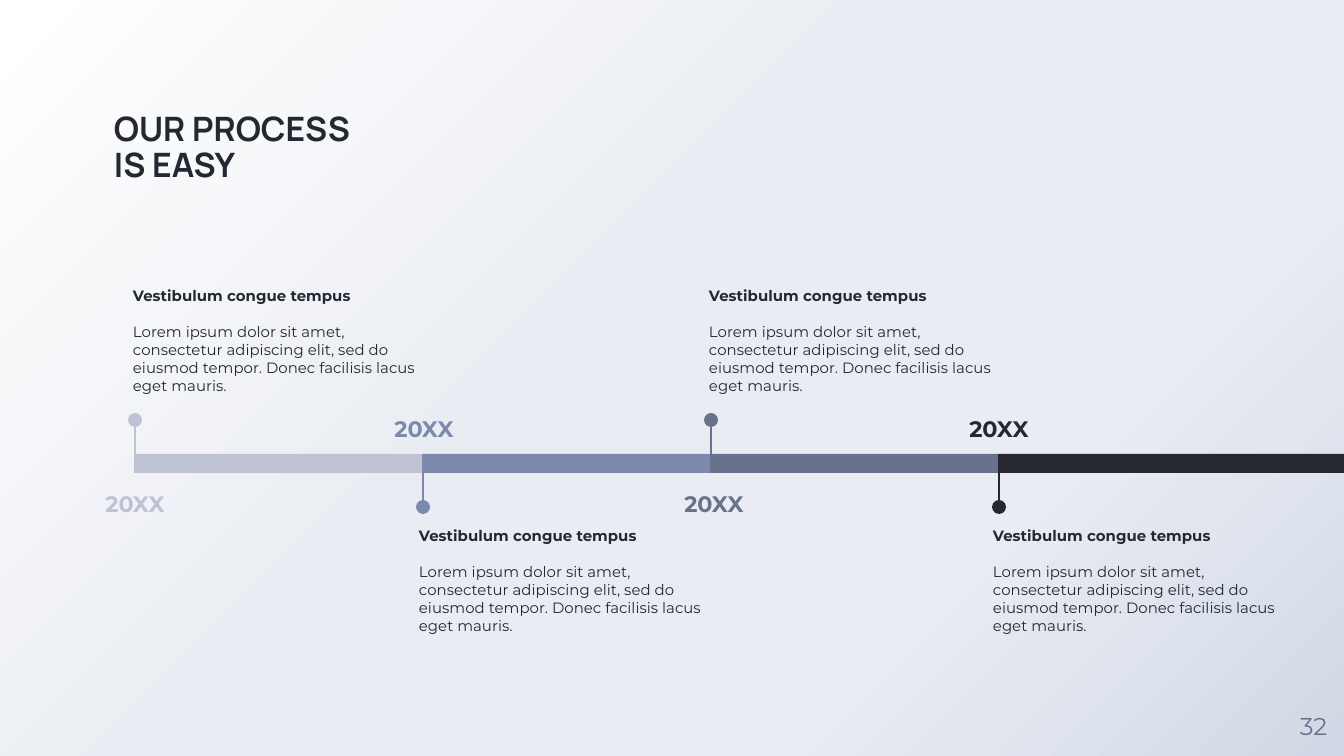
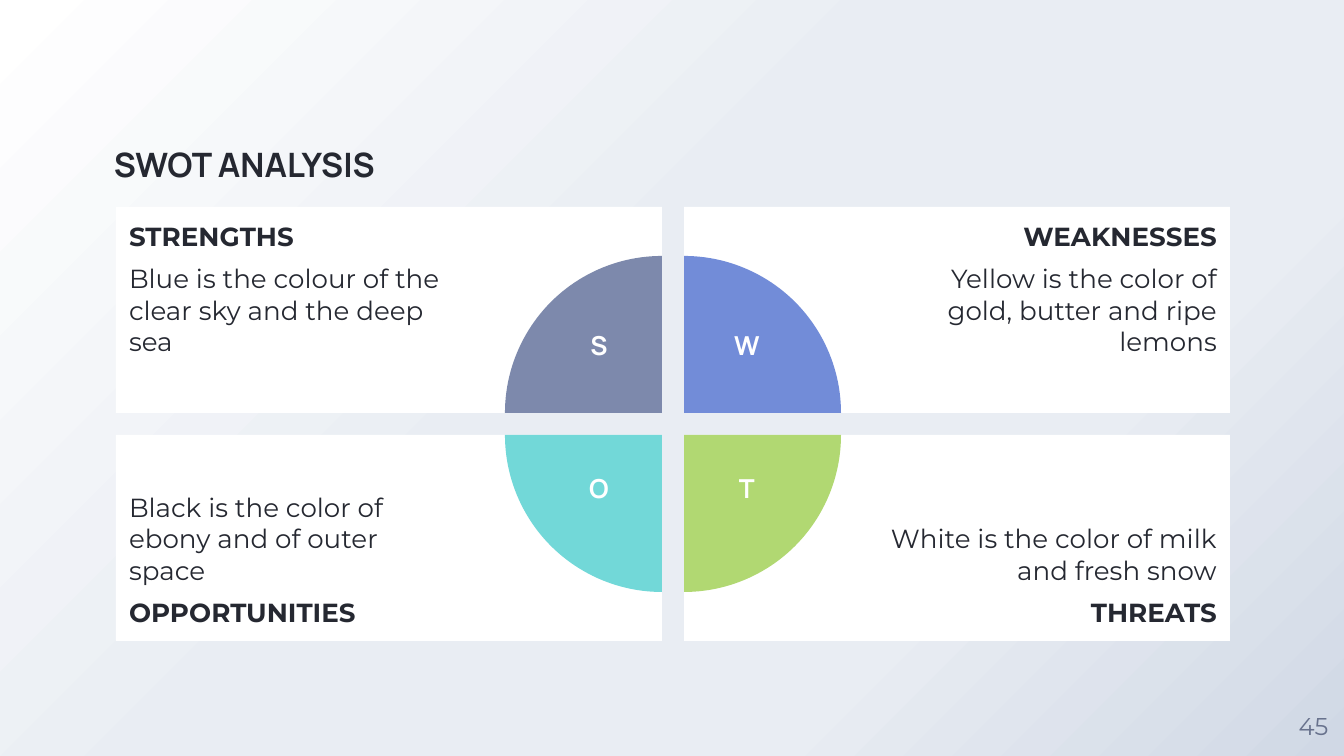
import lxml.etree
import pptx
import pptx.dml.color
import pptx.enum.shapes
import pptx.enum.text
import pptx.oxml.ns
import pptx.util

RGB = pptx.dml.color.RGBColor
SHAPE = pptx.enum.shapes.MSO_SHAPE
ALIGN = pptx.enum.text.PP_ALIGN
ANCHOR = pptx.enum.text.MSO_ANCHOR
qn = pptx.oxml.ns.qn

EMU_PER_PX = 914400 / 134.4
PAGE_W, PAGE_H = 1344, 756
PAD = 13

INK = RGB(0x25, 0x28, 0x31)
SLATE = RGB(0x68, 0x72, 0x8D)
STEEL = RGB(0x7D, 0x89, 0xAC)
MIST = RGB(0xBD, 0xC3, 0xD3)
BLUE = RGB(0x72, 0x8C, 0xD8)
GREEN = RGB(0xB1, 0xD8, 0x72)
AQUA = RGB(0x72, 0xD8, 0xD8)
WHITE = RGB(0xFF, 0xFF, 0xFF)
HAZE = RGB(0xE9, 0xED, 0xF3)
DUSK = RGB(0xD0, 0xD8, 0xE5)
BACKDROP = [(0, WHITE), (44, HAZE), (72, HAZE), (100, DUSK)]

HEAD_FONT, BODY_FONT = "Manrope", "Montserrat"

# Colour, shift of the year's centre and of the note from the stage start
STAGES = [(MIST, 0, -15), (STEEL, 1, -17), (SLATE, 3, -15), (INK, 0, -19)]
NOTE_HEAD = "Vestibulum congue tempus"
NOTE_BODY = ("Lorem ipsum dolor sit amet, consectetur adipiscing elit, sed do "
             "eiusmod tempor. Donec facilisis lacus eget mauris.")

# Column, row, letter, colour, heading, text; clockwise from the top left
QUADRANTS = [
    (0, 0, "S", STEEL, "STRENGTHS",
     "Blue is the colour of the clear sky and the deep sea"),
    (1, 0, "W", BLUE, "WEAKNESSES",
     "Yellow is the color of gold, butter and ripe lemons"),
    (1, 1, "T", GREEN, "THREATS", "White is the color of milk and fresh snow"),
    (0, 1, "O", AQUA, "OPPORTUNITIES",
     "Black is the color of ebony and of outer space"),
]


def px(length):
    return pptx.util.Emu(round(length * EMU_PER_PX))


def set_frame(shape, insets=(0, 0, 0, 0), anchor=ANCHOR.TOP):
    frame = shape.text_frame
    frame.word_wrap = True
    frame.vertical_anchor = anchor
    (frame.margin_left, frame.margin_top,
     frame.margin_right, frame.margin_bottom) = map(px, insets)
    return frame


def add_text_box(page, box, insets=(0, 0, 0, 0), anchor=ANCHOR.TOP):
    return set_frame(page.shapes.add_textbox(*map(px, box)), insets, anchor)


def write(para, text, size, color, font=BODY_FONT, bold=False,
          align=ALIGN.LEFT, before=0, after=0, spacing=1.0):
    para.alignment = align
    para.space_before = pptx.util.Pt(before)
    para.space_after = pptx.util.Pt(after)
    para.line_spacing = spacing
    span = para.add_run()
    span.text = text
    span.font.size = pptx.util.Pt(size)
    span.font.name = font
    span.font.bold = bold
    span.font.color.rgb = color


def add_filled(page, kind, box, color):
    shape = page.shapes.add_shape(kind, *map(px, box))
    shape.shadow.inherit = False
    shape.fill.solid()
    shape.fill.fore_color.rgb = color
    shape.line.fill.background()
    return shape


def add_stem(page, x, top, bottom, color):
    stem = page.shapes.add_connector(
        pptx.enum.shapes.MSO_CONNECTOR.STRAIGHT,
        px(x), px(top), px(x), px(bottom))
    stem.line.color.rgb = color
    stem.line.width = pptx.util.Pt(0.75)
    properties = stem.element.find(qn("p:spPr"))
    lxml.etree.SubElement(properties, qn("a:effectLst"))


def paint_background(page):
    page.background.fill.gradient()
    gradient = page.element.find(".//" + qn("a:gradFill"))
    for child in list(gradient):
        gradient.remove(child)
    stops = lxml.etree.SubElement(gradient, qn("a:gsLst"))
    for percent, color in BACKDROP:
        stop = lxml.etree.SubElement(stops, qn("a:gs"), pos=str(percent * 1000))
        lxml.etree.SubElement(stop, qn("a:srgbClr"), val=str(color))
    # Spreads from the top left corner
    spread = lxml.etree.SubElement(gradient, qn("a:path"))
    spread.set("path", "circle")
    lxml.etree.SubElement(spread, qn("a:fillToRect"), r="100000", b="100000")


def add_page(deck, title, title_width, number):
    page = deck.slides.add_slide(deck.slide_layouts[6])
    paint_background(page)
    # Title
    frame = add_text_box(page, (114, 59, title_width, 126), anchor=ANCHOR.BOTTOM)
    write(frame.paragraphs[0], title, 18, INK, HEAD_FONT, True, spacing=0.9)
    # Page number
    frame = add_text_box(page, (1283, 696, 61, 60), anchor=ANCHOR.MIDDLE)
    write(frame.paragraphs[0], number, 13, SLATE, align=ALIGN.CENTER)
    return page


def add_stage(page, box, stage, above):
    left, top, width, height = box
    color, year_shift, note_shift = stage
    bottom = top + height
    # Bar, stem and dot
    add_filled(page, SHAPE.RECTANGLE, box, color)
    dot_middle = top - 34 if above else bottom + 34
    add_stem(page, left, min(top, dot_middle), max(bottom, dot_middle), color)
    add_filled(page, SHAPE.OVAL, (left - 7, dot_middle - 7, 14, 14), color)
    # Year, on the other side from the note
    year_top = bottom if above else top - 56
    frame = add_text_box(page, (left + year_shift - 55, year_top, 110, 55),
                         (PAD,) * 4)
    write(frame.paragraphs[0], "20XX", 12, color, bold=True,
          align=ALIGN.CENTER, after=16, spacing=1.15)
    # Note
    note_top = top - 180 if above else bottom + 41
    frame = add_text_box(page, (left + note_shift, note_top, 331, 138),
                         (PAD,) * 4)
    write(frame.paragraphs[0], NOTE_HEAD, 8, INK, bold=True, after=9.6)
    write(frame.add_paragraph(), NOTE_BODY, 8, INK, after=16)


def add_timeline(page, box):
    left, top, width, height = box
    pitch = 288
    for index, stage in enumerate(STAGES):
        start = left + index * pitch
        last = index == len(STAGES) - 1
        length = left + width - start if last else pitch
        add_stage(page, (start, top, length, height), stage, index % 2 == 0)


def add_card(page, box, column, row, heading, text):
    card = add_filled(page, SHAPE.RECTANGLE, box, WHITE)
    insets = (202, PAD, PAD, PAD) if column else (PAD, PAD, 202, PAD)
    frame = set_frame(card, insets, ANCHOR.BOTTOM if row else ANCHOR.TOP)
    align = ALIGN.RIGHT if column else ALIGN.LEFT
    # The heading stays at the outer edge of the card
    first, second = frame.paragraphs[0], frame.add_paragraph()
    head, body = (second, first) if row else (first, second)
    write(head, heading, 14, INK, bold=True, align=align,
          before=6 * row, after=6 * row)
    write(body, text, 14, INK, align=align,
          before=6 * (1 - row), after=6 * (1 - row))


def add_swot(page, box):
    left, top, width, height = box
    gap, radius = 22, 157
    card_w, card_h = (width - gap) // 2, (height - gap) // 2
    corners = []
    # Cards
    for column, row, letter, color, heading, text in QUADRANTS:
        x = left + column * (card_w + gap)
        y = top + row * (card_h + gap)
        add_card(page, (x, y, card_w, card_h), column, row, heading, text)
        corners.append((x if column else x + card_w, y if row else y + card_h))
    # Quarter discs, centred on the inner corners of the cards
    for index, (x, y) in enumerate(corners):
        disc = add_filled(page, SHAPE.PIE,
                          (x - radius, y - radius, 2 * radius, 2 * radius),
                          QUADRANTS[index][3])
        disc.adjustments[0], disc.adjustments[1] = 108, 162
        disc.rotation = 90 * index
    # Letters
    for (column, row, letter, *_), (x, y) in zip(QUADRANTS, corners):
        middle = x + 63 if column else x - 63
        letter_top = y + 30 if row else y - 91
        frame = add_text_box(page, (middle - 40, letter_top, 80, 57),
                             (PAD, 7, PAD, 7))
        write(frame.paragraphs[0], letter, 14, WHITE, HEAD_FONT, True,
              ALIGN.CENTER)


def main():
    deck = pptx.Presentation()
    deck.slide_width, deck.slide_height = px(PAGE_W), px(PAGE_H)
    page = add_page(deck, "OUR PROCESS IS EASY", 245, "32")
    add_timeline(page, (135, 454, PAGE_W - 135, 19))
    page = add_page(deck, "SWOT ANALYSIS", 527, "45")
    add_swot(page, (116, 207, 1114, 434))
    deck.save("out.pptx")


if __name__ == "__main__":
    main()
